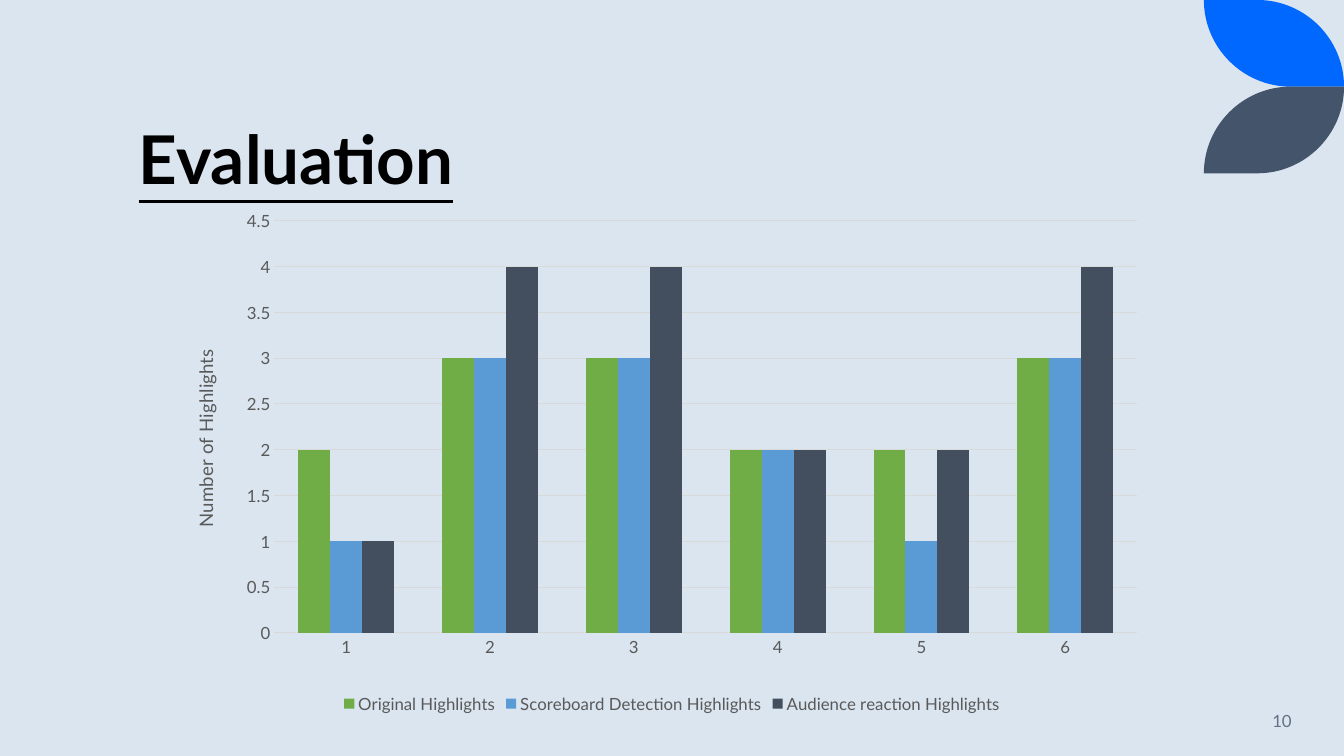
from pptx import Presentation
from pptx.chart.data import CategoryChartData as Data
from pptx.dml.color import RGBColor
from pptx.enum.chart import XL_CHART_TYPE as Kind, XL_LEGEND_POSITION as Spot, XL_TICK_MARK as Tick
from pptx.enum.text import MSO_ANCHOR as Anchor, PP_ALIGN as Align
from pptx.oxml import parse_xml
from pptx.oxml.ns import nsdecls, qn
from pptx.util import Inches, Pt

FACE = "Lato"
GRAY = "595959"
RULE = "D9D9D9"
CATS = ["1", "2", "3", "4", "5", "6"]
BARS = [
    ("Original Highlights", [2, 3, 3, 2, 2, 3], "70AD47"),
    ("Scoreboard Detection Highlights", [1, 3, 3, 2, 1, 3], "5B9BD5"),
    ("Audience reaction Highlights", [1, 4, 4, 2, 2, 4], "434E5E"),
]


def paint(item, color):
    item.solid()
    item.fore_color.rgb = RGBColor.from_string(color)


def style(font, size, color):
    font.name = FACE
    font.size = Pt(size)
    font.color.rgb = RGBColor.from_string(color)


def make_curve(dots):
    marks = "".join(f'<a:pt x="{x}" y="{y}"/>' for x, y in dots)
    return parse_xml(f'<a:cubicBezTo {nsdecls("a")}>{marks}</a:cubicBezTo>')


def add_leaf(slide, left, top, width, height, color, flip=False):
    def spot(x, y):
        return Inches(x), Inches(height - y if flip else y)

    bend = 0.55 * height
    ends = [spot(0, 0), spot(width - height, 0), spot(width, height), spot(height, height)]
    right = [spot(width - height + bend, 0), spot(width, height - bend), ends[2]]
    back = [spot(height - bend, height), spot(0, bend), ends[0]]
    form = slide.shapes.build_freeform(*ends[0])
    form.add_line_segments(ends[1:])
    leaf = form.convert_to_shape(Inches(left), Inches(top))
    lines = list(leaf._element.iter(qn("a:lnTo")))
    lines[2].addnext(make_curve(back))
    lines[1].addnext(make_curve(right))
    lines[1].getparent().remove(lines[1])
    for extra in lines[3:]:
        extra.getparent().remove(extra)
    leaf.shadow.inherit = False
    paint(leaf.fill, color)
    leaf.line.fill.background()


def add_text(slide, box, text, size, color, anchor, align=Align.LEFT):
    frame = slide.shapes.add_textbox(*map(Inches, box)).text_frame
    frame.word_wrap = True
    frame.vertical_anchor = anchor
    para = frame.paragraphs[0]
    para.alignment = align
    run = para.add_run()
    run.text = text
    style(run.font, size, color)
    return para, run


def add_title(slide, box, text):
    para, run = add_text(slide, box, text, 48, "000000", Anchor.BOTTOM)
    para.line_spacing = 0.9
    run.font.bold = True
    run.font.underline = True


def make_layout(inner=False, **parts):
    target = '<c:layoutTarget val="inner"/>' if inner else ""
    modes = "".join(f'<c:{key}Mode val="edge"/>' for key in ("x", "y"))
    sizes = "".join(f'<c:{key} val="{val}"/>' for key, val in parts.items())
    return parse_xml(
        f'<c:layout {nsdecls("c")}><c:manualLayout>{target}{modes}{sizes}'
        "</c:manualLayout></c:layout>"
    )


def drop_layout(node):
    for old in node.findall(qn("c:layout")):
        node.remove(old)


def set_axis(axis):
    axis.major_tick_mark = Tick.NONE
    axis.minor_tick_mark = Tick.NONE
    style(axis.tick_labels.font, 12, GRAY)


def set_rule(line):
    paint(line.fill, RULE)
    line.width = Pt(0.75)


def add_bars(slide, box):
    data = Data()
    data.categories = CATS
    for name, vals, color in BARS:
        data.add_series(name, vals)
    chart = slide.shapes.add_chart(Kind.COLUMN_CLUSTERED, *map(Inches, box), data).chart
    style(chart.font, 10, "000000")
    chart.has_title = False
    chart.has_legend = True
    chart.legend.position = Spot.BOTTOM
    chart.legend.include_in_layout = False
    style(chart.legend.font, 12, GRAY)

    plot = chart.plots[0]
    plot.gap_width = 150
    plot.overlap = 0
    plot.vary_by_categories = False
    for bar, (name, vals, color) in zip(plot.series, BARS):
        paint(bar.format.fill, color)

    base, side = chart.category_axis, chart.value_axis
    set_axis(base)
    set_rule(base.format.line)
    set_axis(side)
    side.minimum_scale = 0
    side.maximum_scale = 4.5
    side.major_unit = 0.5
    side.format.line.fill.background()
    side.has_major_gridlines = True
    set_rule(side.major_gridlines.format.line)

    title = side.axis_title
    run = title.text_frame.paragraphs[0].add_run()
    run.text = "Number of Highlights"
    style(run.font, 13.3, GRAY)
    run.font.bold = False
    wide, high = box[2:]
    node = title._element
    drop_layout(node)
    node.find(qn("c:tx")).addnext(make_layout(x=0, y=1.41 / high))
    area = chart._chartSpace.chart.plotArea
    drop_layout(area)
    area.insert(0, make_layout(True, x=0.85 / wide, y=0.17 / high, w=8.56 / wide, h=4.09 / high))


def add_slide(deck):
    slide = deck.slides.add_slide(deck.slide_layouts[6])
    paint(slide.background.fill, "DAE5EF")
    add_leaf(slide, 11.94, 0, 1.39, 0.86, "0068FF")
    add_leaf(slide, 11.94, 0.86, 1.39, 0.86, "44546A", True)
    add_title(slide, (1.28, 0.37, 11.64, 1.65), "Evaluation")
    add_text(slide, (11.1, 6.95, 1.81, 0.4), "10", 12, "637183", Anchor.MIDDLE, Align.RIGHT)
    add_bars(slide, (1.87, 2.02, 9.59, 5.1))


def main():
    deck = Presentation()
    deck.slide_width = Inches(13.33)
    deck.slide_height = Inches(7.5)
    add_slide(deck)
    deck.save("out.pptx")


if __name__ == "__main__":
    main()
